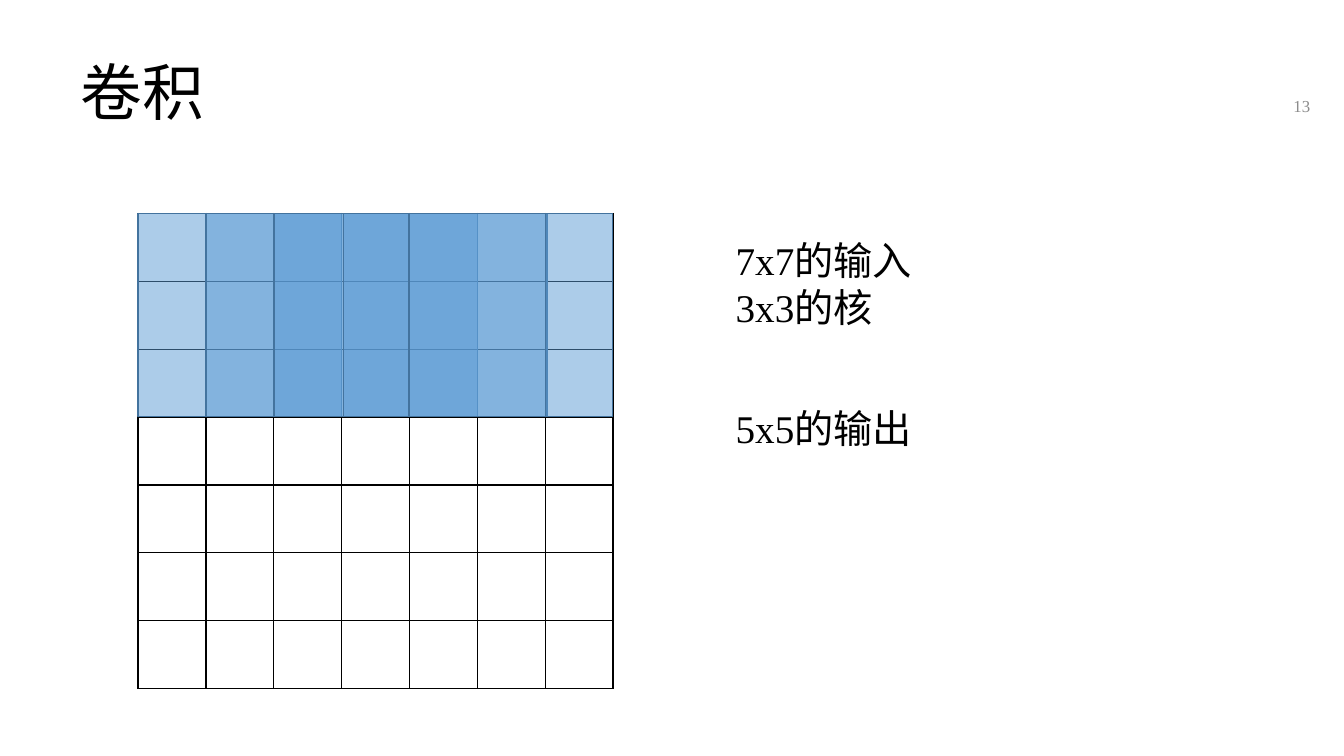
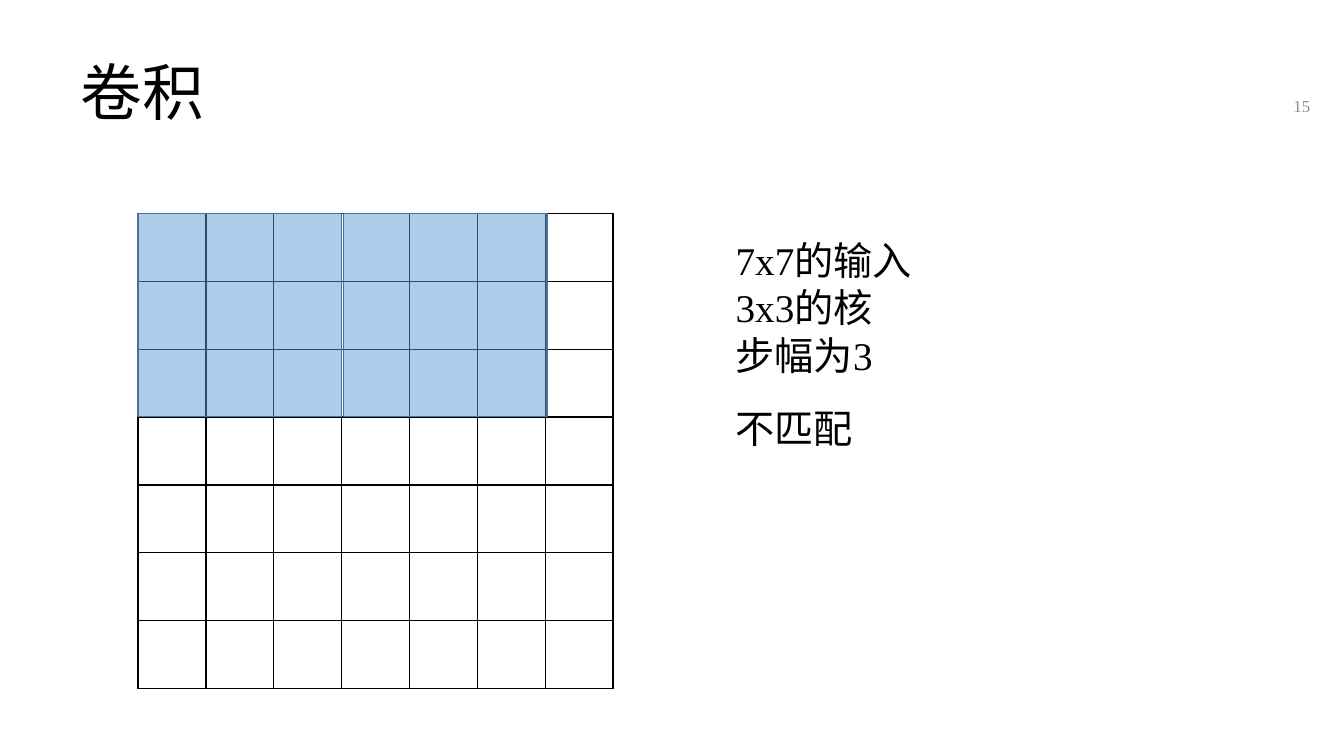
from lxml.etree import SubElement
from pptx import Presentation
from pptx.dml.color import RGBColor
from pptx.enum.shapes import MSO_SHAPE
from pptx.enum.text import MSO_ANCHOR, PP_ALIGN
from pptx.oxml.ns import qn
from pptx.util import Cm, Pt

BLACK = RGBColor(0x00, 0x00, 0x00)
GRAY = RGBColor(0x8C, 0x8C, 0x8C)
BLUE = RGBColor(0x5B, 0x9B, 0xD5)
DARK_BLUE = RGBColor(0x43, 0x73, 0x9E)
FONT = "Times New Roman"

GRID_SIZE = 7
CELL = 1.71
GRID_LEFT, GRID_TOP = 3.48, 5.38
KERNEL_WIDTH, KERNEL_HEIGHT = 5.13, 5.11

SLIDES = [
    ("13", [3.48, 5.18, 6.91, 8.66, 10.31], ["7x7的输入", "3x3的核"], "5x5的输出"),
    ("15", [3.48, 8.66], ["7x7的输入", "3x3的核", "步幅为3"], "不匹配"),
]


def add_text(slide, box, lines, size, color=BLACK, anchor=MSO_ANCHOR.TOP,
             align=PP_ALIGN.LEFT, line_spacing=1.0):
    frame = slide.shapes.add_textbox(*map(Cm, box)).text_frame
    frame.word_wrap = True
    frame.vertical_anchor = anchor
    frame.text = "\n".join(lines)
    for paragraph in frame.paragraphs:
        paragraph.alignment = align
        paragraph.line_spacing = line_spacing
        paragraph.font.name = FONT
        paragraph.font.size = Pt(size)
        paragraph.font.color.rgb = color


def add_border(cell):
    properties = cell._tc.get_or_add_tcPr()
    for side in ("lnL", "lnR", "lnT", "lnB"):
        line = SubElement(properties, qn(f"a:{side}"), w=str(Pt(1)))
        fill = SubElement(line, qn("a:solidFill"))
        SubElement(fill, qn("a:srgbClr"), val=str(BLACK))


presentation = Presentation()
presentation.slide_width = Cm(33.87)
presentation.slide_height = Cm(19.05)

for number, kernel_lefts, setup, result in SLIDES:
    slide = presentation.slides.add_slide(presentation.slide_layouts[6])
    add_text(slide, (1.78, 1.02, 30.38, 2.77), ["卷积"], 44,
             anchor=MSO_ANCHOR.MIDDLE, line_spacing=0.9)
    add_text(slide, (25.65, 2.16, 7.62, 1.02), [number], 12, GRAY,
             MSO_ANCHOR.MIDDLE, PP_ALIGN.RIGHT)

    side = Cm(GRID_SIZE * CELL)
    table = slide.shapes.add_table(GRID_SIZE, GRID_SIZE, Cm(GRID_LEFT),
                                   Cm(GRID_TOP), side, side).table
    table.first_row = False
    table.horz_banding = False
    for column in table.columns:
        column.width = Cm(CELL)
    for row in table.rows:
        row.height = Cm(CELL)
    for cell in table.iter_cells():
        add_border(cell)
        cell.fill.background()

    for left in kernel_lefts:
        kernel = slide.shapes.add_shape(MSO_SHAPE.RECTANGLE, Cm(left), Cm(GRID_TOP),
                                        Cm(KERNEL_WIDTH), Cm(KERNEL_HEIGHT))
        kernel.shadow.inherit = False
        kernel.fill.solid()
        kernel.fill.fore_color.rgb = BLUE
        fill_color = kernel._element.spPr.find(qn("a:solidFill")).find(qn("a:srgbClr"))
        SubElement(fill_color, qn("a:alpha"), val="50000")
        kernel.line.color.rgb = DARK_BLUE
        kernel.line.width = Pt(1)

    add_text(slide, (18.29, 5.84, 8, 1.3 * len(setup)), setup, 28)
    add_text(slide, (18.29, 10.06, 8, 1.45), [result], 28)

presentation.save("out.pptx")
